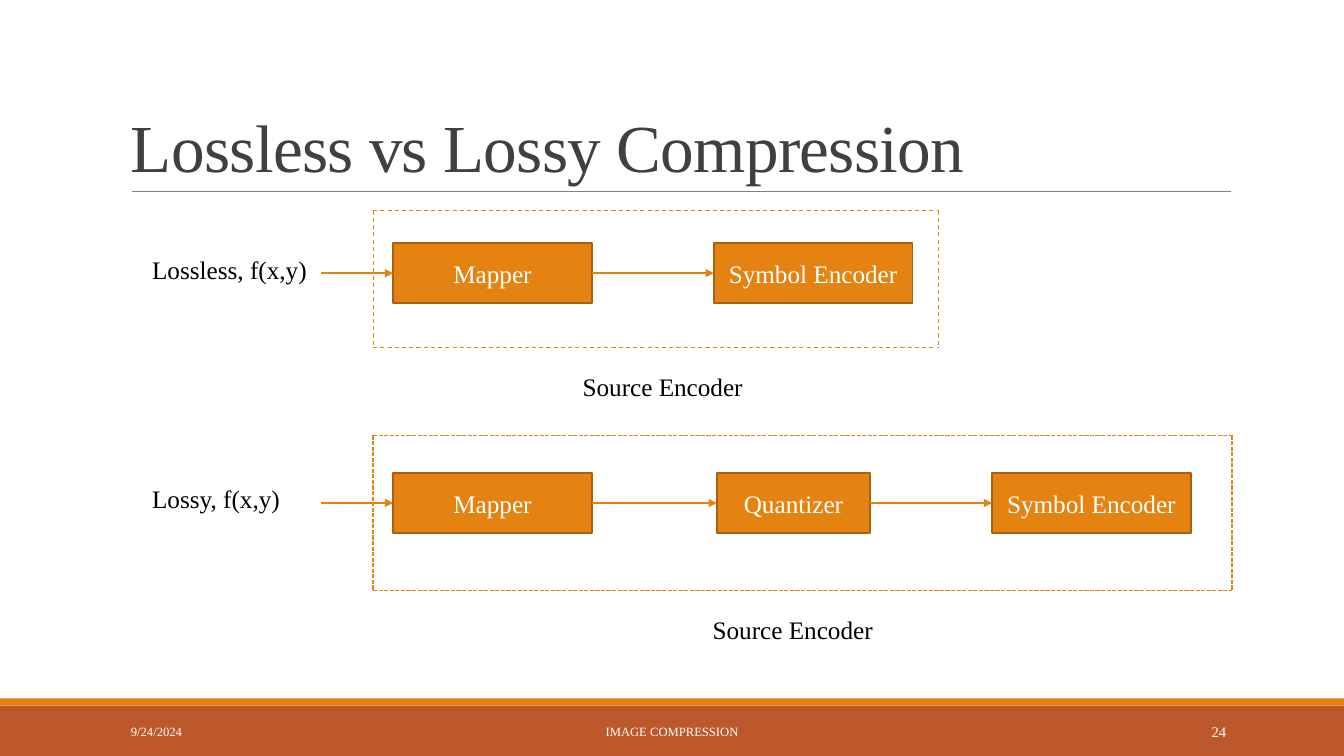
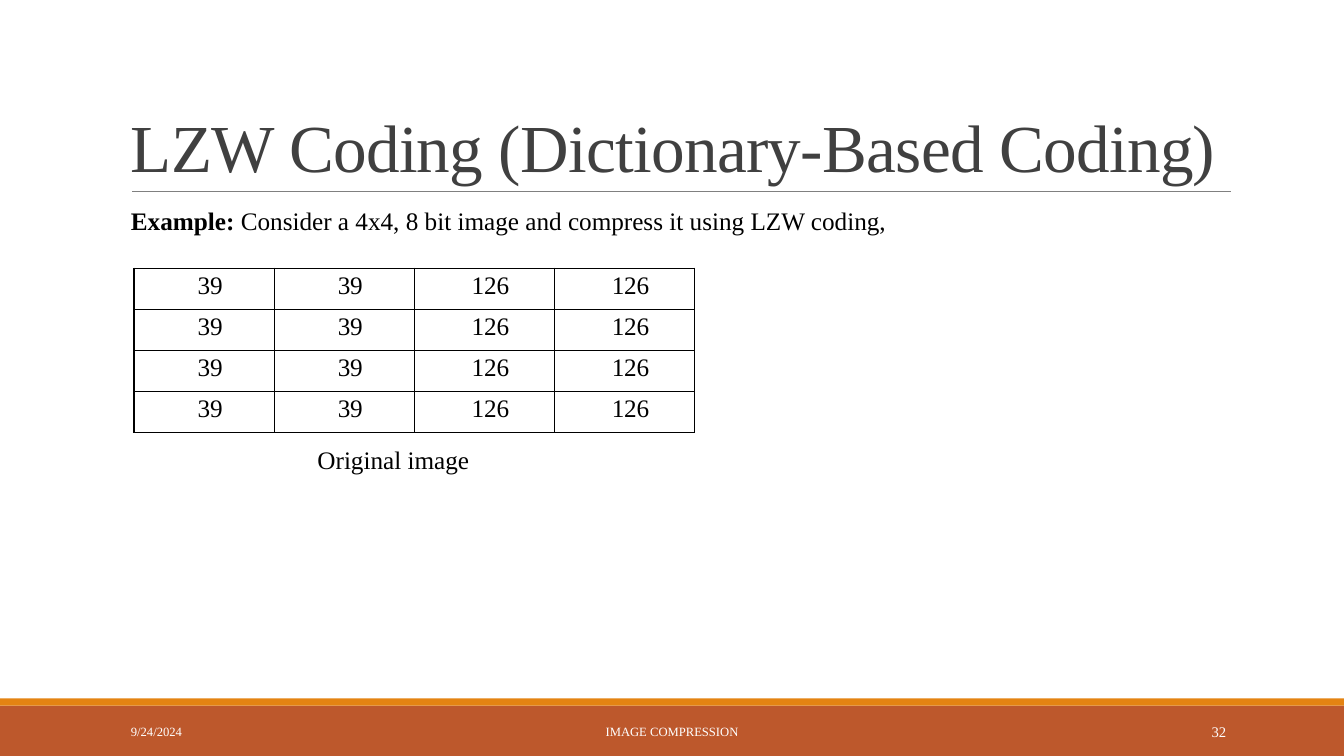
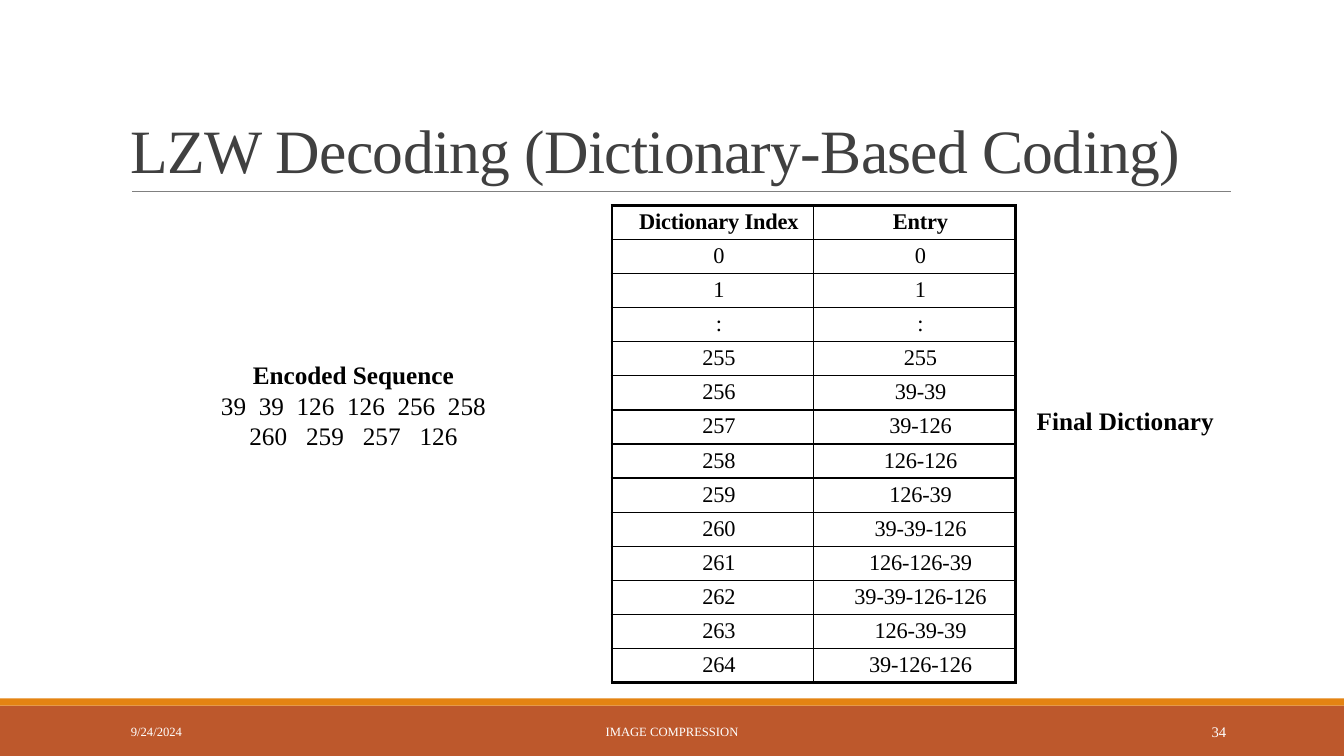
from dataclasses import dataclass
from itertools import pairwise
from typing import NamedTuple

from lxml import etree
from pptx import Presentation
from pptx.dml.color import RGBColor
from pptx.enum.dml import MSO_LINE
from pptx.enum.shapes import MSO_CONNECTOR, MSO_SHAPE
from pptx.enum.text import MSO_ANCHOR, PP_ALIGN
from pptx.oxml.ns import qn
from pptx.util import Inches, Pt

STRAIGHT = MSO_CONNECTOR.STRAIGHT
RECTANGLE = MSO_SHAPE.RECTANGLE
DASH, SHORT_DASH = MSO_LINE.DASH, MSO_LINE.SQUARE_DOT
LEFT, CENTER, RIGHT = PP_ALIGN.LEFT, PP_ALIGN.CENTER, PP_ALIGN.RIGHT
TOP, MIDDLE, BOTTOM = MSO_ANCHOR.TOP, MSO_ANCHOR.MIDDLE, MSO_ANCHOR.BOTTOM
LEFT_SIDE, RIGHT_SIDE = 1, 3

FONT = "Times New Roman"
COLORS = {
    "orange": "E48312",
    "rust": "BD582C",
    "box_edge": "A9610D",
    "rule": "808080",
    "title": "404040",
    "black": "000000",
    "white": "FFFFFF",
}
SLIDE_WIDTH, SLIDE_HEIGHT = 13.33, 7.5
STAGE_HEIGHT = 0.6
CELL_INDENT = 0.12
THIN, THICK = 1, 2.25


class Box(NamedTuple):
    left: float
    top: float
    width: float
    height: float


class Run(NamedTuple):
    text: str
    bold: bool = False
    spacing: float = 0


class Stage(NamedTuple):
    label: str
    left: float
    width: float = 1.97


@dataclass(frozen=True)
class TextStyle:
    size: float = 18
    color: str = "black"
    align: PP_ALIGN = LEFT
    anchor: MSO_ANCHOR = TOP
    line_spacing: float = 1.0


@dataclass(frozen=True)
class Pipeline:
    source: str
    stage_top: float
    stages: tuple[Stage, ...]
    frame: Box
    dash: MSO_LINE
    dash_width: float
    caption: Box


@dataclass(frozen=True)
class Grid:
    box: Box
    rows: list[list[str]]
    size: float
    outer: float
    header: bool = False
    fill: str | None = None


BODY = TextStyle()
CENTERED = TextStyle(align=CENTER)
STAGE_TEXT = TextStyle(color="white", align=CENTER, anchor=MIDDLE)

PIPELINES = (
    Pipeline(
        "Lossless, f(x,y)", 2.41,
        (Stage("Mapper", 3.9), Stage("Symbol Encoder", 7.08)),
        Box(3.7, 2.09, 5.61, 1.36), DASH, 0.75, Box(5.68, 3.63, 1.8, 0.4),
    ),
    Pipeline(
        "Lossy, f(x,y)", 4.69,
        (Stage("Mapper", 3.9), Stage("Quantizer", 7.11, 1.52),
         Stage("Symbol Encoder", 9.84)),
        Box(3.7, 4.32, 8.52, 1.54), SHORT_DASH, 1, Box(6.97, 6.05, 1.8, 0.4),
    ),
)

IMAGE_ROWS = [["39", "39", "126", "126"]] * 4
SINGLE_ENTRIES = ["0", "1", ":", "255"]
LONG_ENTRIES = [
    "39-39", "39-126", "126-126", "126-39", "39-39-126",
    "126-126-39", "39-39-126-126", "126-39-39", "39-126-126",
]
DICTIONARY_ROWS = [
    ["Dictionary Index", "Entry"],
    *([entry, entry] for entry in SINGLE_ENTRIES),
    *([str(index), entry] for index, entry in enumerate(LONG_ENTRIES, 256)),
]


def rgb(name: str) -> RGBColor:
    return RGBColor.from_string(COLORS[name])


def lengths(box: Box) -> list[Inches]:
    return [Inches(value) for value in box]


def fill_paragraph(paragraph, runs: list[Run], style: TextStyle) -> None:
    paragraph.alignment = style.align
    paragraph.line_spacing = style.line_spacing
    for part in runs:
        run = paragraph.add_run()
        run.text = part.text
        font_format = {"name": FONT, "size": Pt(style.size), "bold": part.bold}
        for attribute, value in font_format.items():
            setattr(run.font, attribute, value)
        run.font.color.rgb = rgb(style.color)
        if part.spacing:
            run.font._element.set("spc", str(round(part.spacing * 100)))


def write_frame(frame, paragraphs: list[list[Run]], style: TextStyle) -> None:
    frame.word_wrap = True
    frame.vertical_anchor = style.anchor
    for index, runs in enumerate(paragraphs):
        paragraph = frame.add_paragraph() if index else frame.paragraphs[0]
        fill_paragraph(paragraph, runs, style)


def add_text(slide, box: Box, paragraphs: list[list[Run]], style: TextStyle = BODY) -> None:
    shape = slide.shapes.add_textbox(*lengths(box))
    write_frame(shape.text_frame, paragraphs, style)


def add_rectangle(slide, box: Box, fill: str):
    shape = slide.shapes.add_shape(RECTANGLE, *lengths(box))
    shape.shadow.inherit = False
    shape.fill.solid()
    shape.fill.fore_color.rgb = rgb(fill)
    shape.line.fill.background()
    return shape


def add_line(slide, start: tuple[float, float], end: tuple[float, float],
             color: str = "orange", width: float = 1, dash: MSO_LINE | None = None,
             arrow: bool = False):
    points = [Inches(value) for value in (*start, *end)]
    connector = slide.shapes.add_connector(STRAIGHT, *points)
    connector.line.color.rgb = rgb(color)
    connector.line.width = Pt(width)
    if dash is not None:
        connector.line.dash_style = dash
    properties = connector._element.spPr
    if arrow:
        etree.SubElement(properties.find(qn("a:ln")), qn("a:tailEnd"), type="triangle")
    etree.SubElement(properties, qn("a:effectLst"))
    return connector


def add_slide(presentation, title: str, number: int, title_size: float = 48):
    """Add a blank-layout slide with the shared bands, title, rule and footer."""
    slide = presentation.slides.add_slide(presentation.slide_layouts[6])
    add_rectangle(slide, Box(0, 7, SLIDE_WIDTH, 0.5), "rust")
    add_rectangle(slide, Box(0, 6.93, SLIDE_WIDTH, 0.07), "orange")
    add_line(slide, (1.31, 1.9), (12.21, 1.9), "rule", 0.5)
    add_text(slide, Box(1.2, 0.31, 11, 1.59), [[Run(title, spacing=-0.5)]],
             TextStyle(title_size, "title", anchor=BOTTOM, line_spacing=0.85))
    footers = (
        ("9/24/2024", 1.2, 2.7, 9, LEFT),
        ("IMAGE COMPRESSION", 4.03, 5.27, 9, CENTER),
        (str(number), 10.83, 1.43, 10.5, RIGHT),
    )
    for text, left, width, size, align in footers:
        add_text(slide, Box(left, 7.06, width, 0.4), [[Run(text)]],
                 TextStyle(size, "white", align, MIDDLE))
    return slide


def add_stage(slide, stage: Stage, top: float):
    shape = add_rectangle(slide, Box(stage.left, top, stage.width, STAGE_HEIGHT), "orange")
    shape.line.color.rgb = rgb("box_edge")
    shape.line.width = Pt(1.25)
    write_frame(shape.text_frame, [[Run(stage.label)]], STAGE_TEXT)
    return shape


def add_pipeline(slide, pipeline: Pipeline) -> None:
    left, top, width, height = pipeline.frame
    right, bottom = left + width, top + height
    edges = (
        ((left, top), (right, top)),
        ((left, top), (left, bottom)),
        ((left, bottom), (right, bottom)),
        ((right, top), (right, bottom)),
    )
    for start, end in edges:
        add_line(slide, start, end, width=pipeline.dash_width, dash=pipeline.dash)

    add_text(slide, Box(1.41, pipeline.stage_top + 0.06, 2.29, 0.4), [[Run(pipeline.source)]])
    add_text(slide, pipeline.caption, [[Run("Source Encoder")]])

    shapes = [add_stage(slide, stage, pipeline.stage_top) for stage in pipeline.stages]
    middle = pipeline.stage_top + STAGE_HEIGHT / 2
    entry = add_line(slide, (3.18, middle), (pipeline.stages[0].left, middle), arrow=True)
    entry.end_connect(shapes[0], LEFT_SIDE)
    neighbours = zip(pairwise(pipeline.stages), pairwise(shapes))
    for (stage, next_stage), (shape, next_shape) in neighbours:
        link = add_line(slide, (stage.left + stage.width, middle),
                        (next_stage.left, middle), arrow=True)
        link.begin_connect(shape, RIGHT_SIDE)
        link.end_connect(next_shape, LEFT_SIDE)


def set_borders(cell, widths: dict[str, float]) -> None:
    properties = cell._tc.get_or_add_tcPr()
    for tag, width in widths.items():
        line = etree.SubElement(properties, qn(f"a:{tag}"), w=str(Pt(width)))
        fill = etree.SubElement(line, qn("a:solidFill"))
        etree.SubElement(fill, qn("a:srgbClr"), val=COLORS["black"])


def add_grid(slide, grid: Grid) -> None:
    row_count, column_count = len(grid.rows), len(grid.rows[0])
    table = slide.shapes.add_table(row_count, column_count, *lengths(grid.box)).table
    table.first_row = table.horz_banding = False
    margins = {"margin_left": 0, "margin_top": Inches(0.04),
               "margin_right": 0, "margin_bottom": 0}
    for row, texts in enumerate(grid.rows):
        for column, text in enumerate(texts):
            cell = table.cell(row, column)
            for attribute, value in margins.items():
                setattr(cell, attribute, value)
            on_edge = {
                "lnL": column == 0,
                "lnR": column == column_count - 1,
                "lnT": row == 0,
                "lnB": row == row_count - 1,
            }
            set_borders(cell, {tag: grid.outer if edge else THIN
                               for tag, edge in on_edge.items()})
            if grid.fill:
                cell.fill.solid()
                cell.fill.fore_color.rgb = rgb(grid.fill)
            else:
                cell.fill.background()
            paragraph = cell.text_frame.paragraphs[0]
            paragraph._p.get_or_add_pPr().set("marL", str(Inches(CELL_INDENT)))
            run = Run(text, bold=grid.header and row == 0, spacing=-0.1)
            fill_paragraph(paragraph, [run], TextStyle(grid.size, align=CENTER))


def spaced(text: str, extra: float) -> list[Run]:
    """Split text into words whose separating spaces are widened by extra points."""
    first, *others = text.split()
    runs = [Run(first)]
    for word in others:
        runs += [Run(" ", spacing=extra), Run(word)]
    return runs


def build_comparison(presentation) -> None:
    slide = add_slide(presentation, "Lossless vs Lossy Compression", 24)
    for pipeline in PIPELINES:
        add_pipeline(slide, pipeline)


def build_coding(presentation) -> None:
    slide = add_slide(presentation, "LZW Coding (Dictionary-Based Coding)", 32)
    example = [
        Run("Example:", bold=True),
        Run(" Consider a 4x4, 8 bit image and compress it using LZW coding,"),
    ]
    add_text(slide, Box(1.2, 2.02, 11, 0.84), [example], TextStyle(line_spacing=0.9))
    add_grid(slide, Grid(Box(1.33, 2.66, 5.56, 1.63), IMAGE_ROWS, 18, THIN, fill="white"))
    add_text(slide, Box(3.05, 4.36, 1.71, 0.4), [[Run("Original image")]])


def build_decoding(presentation) -> None:
    slide = add_slide(presentation, "LZW Decoding (Dictionary-Based Coding)", 34, 44)
    sequence = [
        *spaced("39 39 126 126 256 258", 4.5),
        Run(" "),
        *spaced("260 259 257 126", 9),
    ]
    add_text(slide, Box(1.89, 3.52, 3.23, 1.31),
             [[Run("Encoded Sequence", bold=True)], sequence], CENTERED)
    add_grid(slide, Grid(Box(6.07, 2.04, 4, 4.73), DICTIONARY_ROWS, 16, THICK, header=True))
    add_text(slide, Box(10.12, 3.97, 2.08, 0.4),
             [[Run("Final Dictionary", bold=True)]], CENTERED)


def main() -> None:
    presentation = Presentation()
    presentation.slide_width = Inches(SLIDE_WIDTH)
    presentation.slide_height = Inches(SLIDE_HEIGHT)
    build_comparison(presentation)
    build_coding(presentation)
    build_decoding(presentation)
    presentation.save("out.pptx")


if __name__ == "__main__":
    main()
